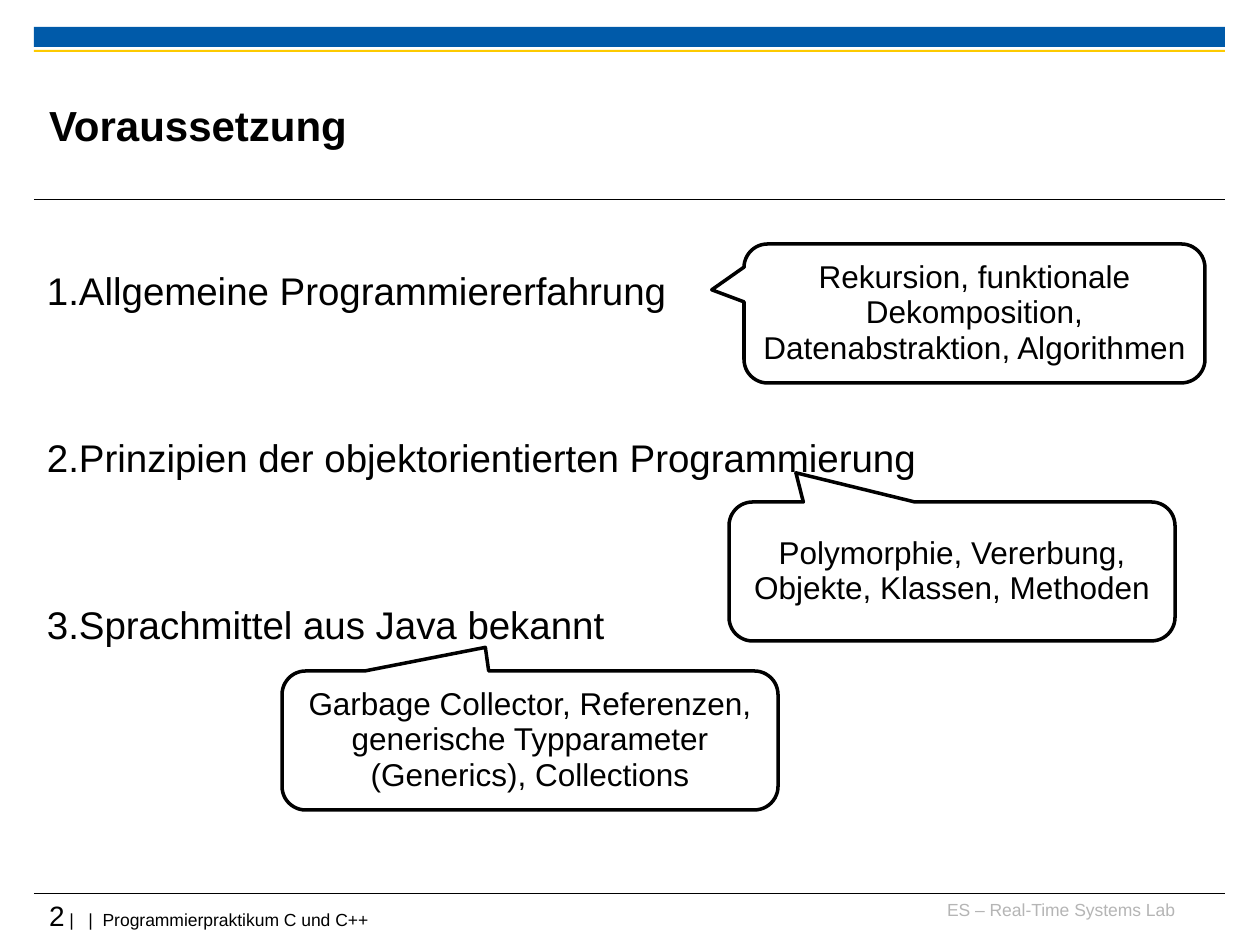
from dataclasses import dataclass

from lxml.etree import SubElement
from pptx import Presentation
from pptx.dml.color import RGBColor
from pptx.enum.shapes import MSO_CONNECTOR, MSO_SHAPE
from pptx.enum.text import MSO_ANCHOR, MSO_AUTO_SIZE, PP_ALIGN
from pptx.oxml.ns import qn
from pptx.util import Emu, Pt


@dataclass(frozen=True)
class Theme:
    font: str = "Arial"
    ink: str = "000000"
    paper: str = "FFFFFF"
    blue: str = "005AA9"
    yellow: str = "FDCA00"
    grey: str = "B5B5B5"
    title: int = 24
    item: int = 22
    callout: int = 18
    number: int = 16
    footer: int = 10
    rule: float = 0.6
    outline: float = 2


THEME = Theme()
LEFT, WIDTH = 34, 1191

ITEMS = [
    "Allgemeine Programmiererfahrung",
    "Prinzipien der objektorientierten Programmierung",
    "Sprachmittel aus Java bekannt",
]

# Text, frame, pointer offset from the centre as a share of the size
CALLOUTS = [
    ("Polymorphie, Vererbung, Objekte, Klassen, Methoden",
     (729, 502, 446, 139), (-0.35, -0.71)),
    ("Garbage Collector, Referenzen, generische Typparameter (Generics), Collections",
     (282, 671, 496, 139), (-0.09, -0.67)),
    ("Rekursion, funktionale Dekomposition, Datenabstraktion, Algorithmen",
     (744, 244, 461, 139), (-0.57, -0.17)),
]


def px(length):
    return Emu(round(length * 914400 / 126))


def apply(target, values):
    for name, value in values.items():
        setattr(target, name, value)


def place(shape, frame):
    apply(shape, dict(zip(("left", "top", "width", "height"), map(px, frame))))


def format_frame(frame, anchor, insets):
    names = ("margin_left", "margin_top", "margin_right", "margin_bottom")
    apply(frame, {"word_wrap": True, "auto_size": MSO_AUTO_SIZE.NONE,
                  "vertical_anchor": anchor, **dict(zip(names, map(px, insets)))})


def add_span(para, text, size, color=THEME.ink, bold=False):
    span = para.add_run()
    span.text = text
    apply(span.font, {"name": THEME.font, "size": Pt(size), "bold": bold})
    span.font.color.rgb = RGBColor.from_string(color)


def add_block(page, frame, color, kind=MSO_SHAPE.RECTANGLE):
    block = page.shapes.add_shape(kind, *map(px, frame))
    block.shadow.inherit = False
    block.fill.solid()
    block.fill.fore_color.rgb = RGBColor.from_string(color)
    block.line.fill.background()
    return block


def add_rule(page, y):
    rule = page.shapes.add_connector(
        MSO_CONNECTOR.STRAIGHT, px(LEFT), px(y), px(LEFT + WIDTH), px(y))
    rule.line.color.rgb = RGBColor.from_string(THEME.ink)
    rule.line.width = Pt(THEME.rule)
    SubElement(rule._element.spPr, qn("a:effectLst"))


def add_footer(page, frame, spans, align):
    box = page.shapes.add_textbox(*map(px, frame))
    format_frame(box.text_frame, MSO_ANCHOR.TOP, (0, 0, 0, 0))
    para = box.text_frame.paragraphs[0]
    para.alignment = align
    for span in spans:
        add_span(para, *span)


def fill_title(title, text):
    place(title, (49, 67, 948, 116))
    format_frame(title.text_frame, MSO_ANCHOR.MIDDLE, (0, 0, 0, 0))
    para = title.text_frame.paragraphs[0]
    para.alignment = PP_ALIGN.LEFT
    add_span(para, text, THEME.title, bold=True)


def fill_numbered_list(body, items):
    place(body, (LEFT, 204, WIDTH, 684))
    format_frame(body.text_frame, MSO_ANCHOR.TOP, (13, 63, 13, 6))
    for index, item in enumerate(items):
        para = body.text_frame.paragraphs[0] if index == 0 else body.text_frame.add_paragraph()
        apply(para, {"alignment": PP_ALIGN.LEFT, "line_spacing": 1.0,
                     "space_before": Pt(69 if index else 0)})
        properties = para._p.get_or_add_pPr()
        properties.set("marL", str(px(25)))
        properties.set("indent", str(-px(25)))
        SubElement(properties, qn("a:buAutoNum"), type="arabicPeriod")
        add_span(para, item, THEME.item)


def add_callout(page, text, frame, pointer):
    callout = add_block(page, frame, THEME.paper, MSO_SHAPE.ROUNDED_RECTANGULAR_CALLOUT)
    for index, value in enumerate((*pointer, 0.17)):
        callout.adjustments[index] = value
    callout.line.color.rgb = RGBColor.from_string(THEME.ink)
    callout.line.width = Pt(THEME.outline)
    format_frame(callout.text_frame, MSO_ANCHOR.MIDDLE, (6, 6, 6, 6))
    para = callout.text_frame.paragraphs[0]
    apply(para, {"alignment": PP_ALIGN.CENTER, "line_spacing": 0.93})
    add_span(para, text, THEME.callout)


def main():
    deck = Presentation()
    apply(deck, {"slide_width": px(1260), "slide_height": px(945)})
    page = deck.slides.add_slide(deck.slide_layouts[1])

    # Header bars and rules
    add_block(page, (LEFT, 27, WIDTH, 20), THEME.blue)
    add_block(page, (LEFT, 50, WIDTH, 2), THEME.yellow)
    for y in (200, 894):
        add_rule(page, y)

    # Footer
    add_footer(page, (927, 899, 248, 31),
               [("ES – Real-Time Systems Lab", THEME.footer, THEME.grey)], PP_ALIGN.RIGHT)
    add_footer(page, (49, 898, 1176, 42),
               [("2", THEME.number),
                (" |   |  Programmierpraktikum C und C++", THEME.footer)], PP_ALIGN.LEFT)

    # Title, list and callouts
    fill_title(page.shapes.title, "Voraussetzung")
    fill_numbered_list(page.placeholders[1], ITEMS)
    for callout in CALLOUTS:
        add_callout(page, *callout)

    deck.save("out.pptx")


if __name__ == "__main__":
    main()
